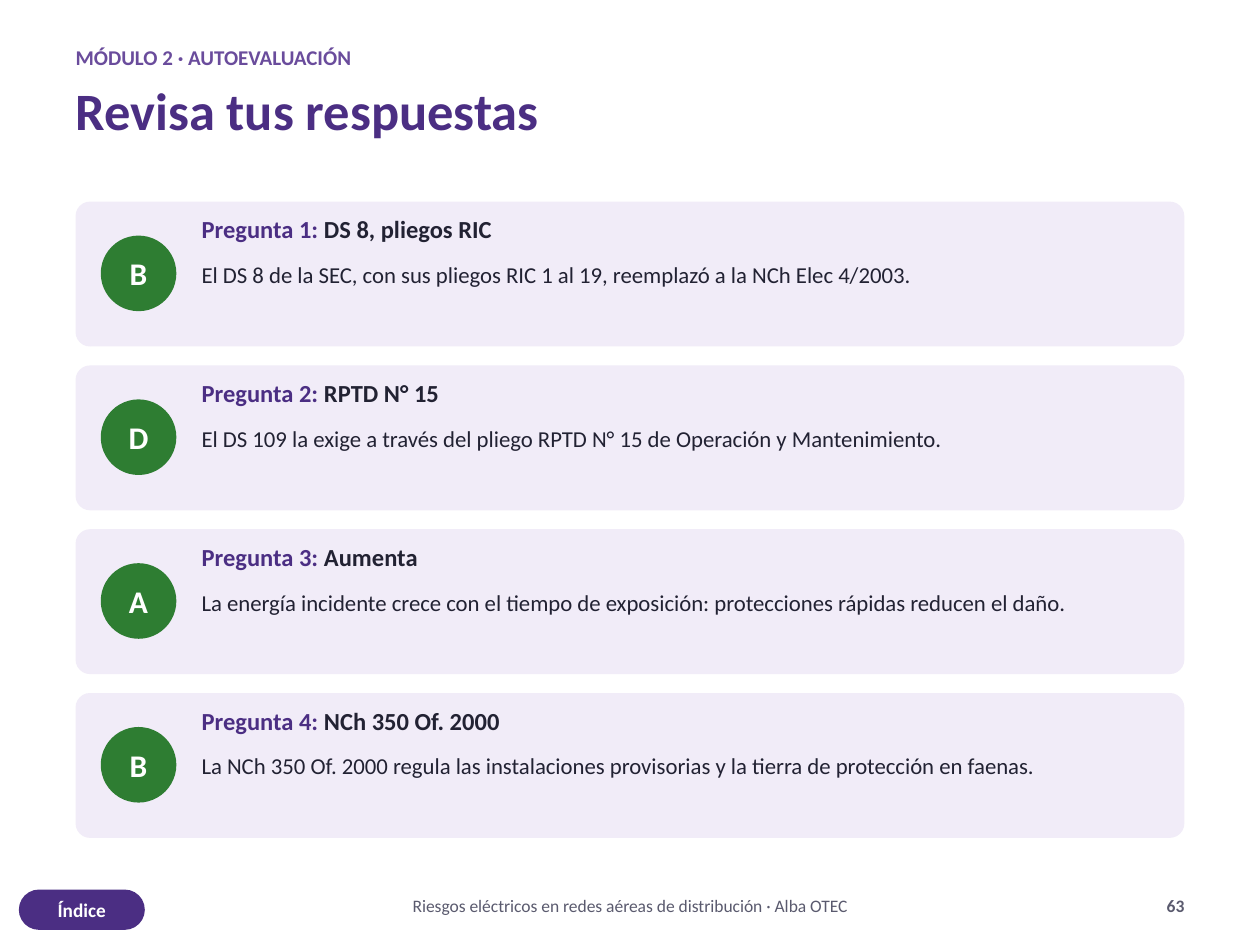
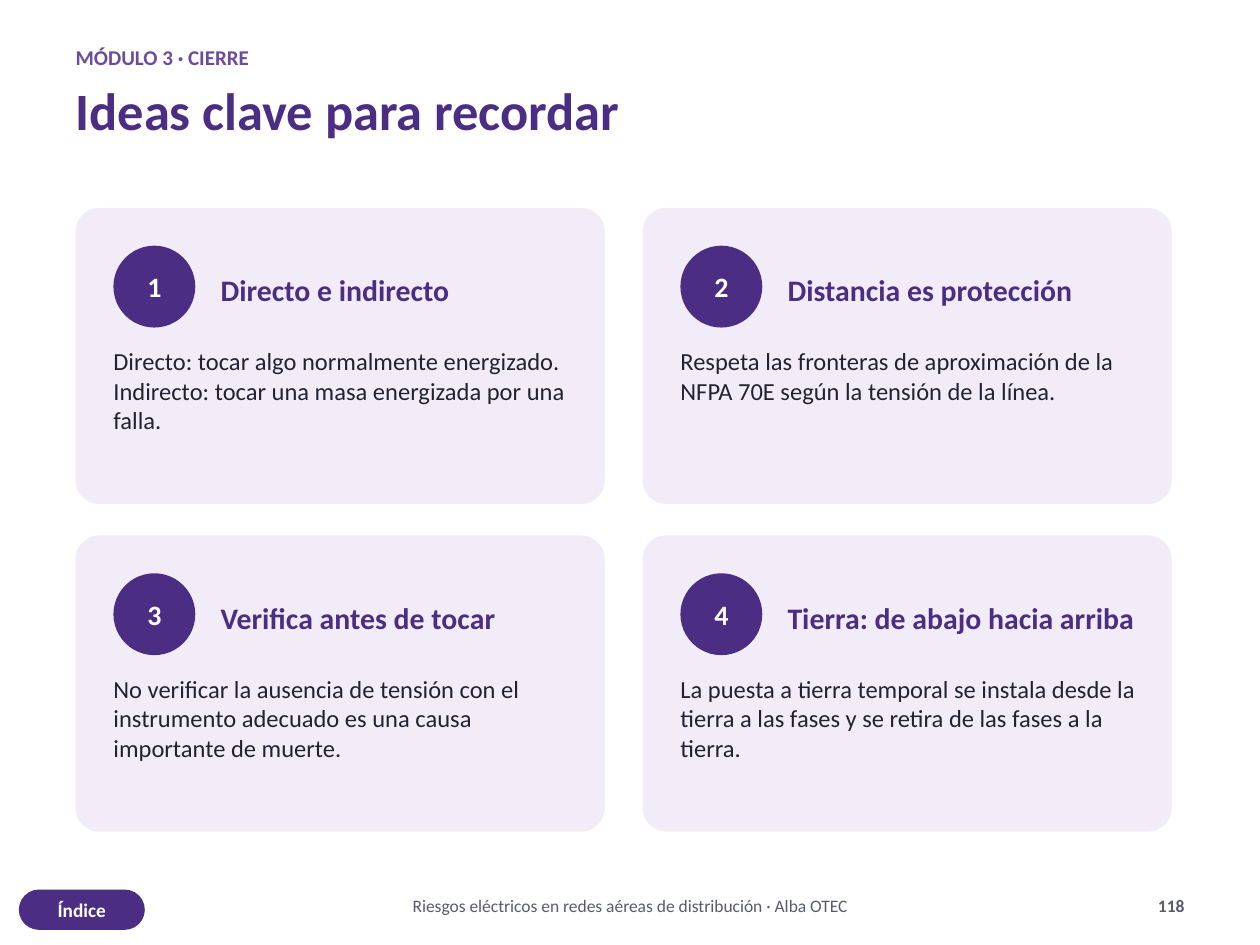
from pptx import Presentation
from pptx.dml.color import RGBColor
from pptx.enum.shapes import MSO_SHAPE
from pptx.enum.text import MSO_ANCHOR, MSO_AUTO_SIZE, PP_ALIGN
from pptx.util import Inches, Pt

# Shared style
FONT = "Calibri"
PURPLE, VIOLET, LILAC = "4B2E83", "6A4C9C", "F1ECF8"
GREEN, INK, GRAY, WHITE = "2E7D32", "222233", "5A5A6E", "FFFFFF"
LEFT, WIDTH = 0.6, 8.8
COURSE = "Riesgos eléctricos en redes aéreas de distribución · Alba OTEC"


def color(code):
    return RGBColor.from_string(code)


class Deck:
    def __init__(self):
        self.show = Presentation()
        self.show.slide_width = Inches(10)
        self.show.slide_height = Inches(7.5)
        self.slide = None

    def start(self, module, title, number):
        """Add a slide with its heading and footer."""
        self.slide = self.show.slides.add_slide(self.show.slide_layouts[6])
        fill = self.slide.background.fill
        fill.solid()
        fill.fore_color.rgb = color(WHITE)
        self.text(LEFT, 0.35, WIDTH, 0.3, module, 12, VIOLET, True)
        self.text(LEFT, 0.62, WIDTH, 0.75, title, 30, PURPLE, True)
        pill = self.shape(MSO_SHAPE.ROUNDED_RECTANGLE, 0.15, 7.06, 1, 0.32, PURPLE, 0.5)
        self.label(pill, "Índice", 11)
        self.text(2, 7.1, 6, 0.28, COURSE, 10, GRAY, align=PP_ALIGN.CENTER)
        self.text(8.4, 7.1, 1, 0.28, str(number), 10, GRAY, True, PP_ALIGN.RIGHT)

    def style(self, run, size, tint, bold):
        run.font.name = FONT
        run.font.size = Pt(size)
        run.font.bold = bold
        run.font.color.rgb = color(tint)

    def fit(self, frame, words, size, tint, bold, align, anchor):
        frame.margin_left = frame.margin_right = 0
        frame.margin_top = frame.margin_bottom = 0
        frame.word_wrap = True
        frame.vertical_anchor = anchor
        frame.text = words
        para = frame.paragraphs[0]
        para.alignment = align
        self.style(para.runs[0], size, tint, bold)
        return para

    def text(self, x, y, w, h, words, size, tint, bold=False,
             align=PP_ALIGN.LEFT, anchor=MSO_ANCHOR.TOP):
        box = self.slide.shapes.add_textbox(Inches(x), Inches(y), Inches(w), Inches(h))
        para = self.fit(box.text_frame, words, size, tint, bold, align, anchor)
        box.text_frame.auto_size = MSO_AUTO_SIZE.SHAPE_TO_FIT_TEXT
        return para

    def shape(self, kind, x, y, w, h, tint, bend=None):
        item = self.slide.shapes.add_shape(kind, Inches(x), Inches(y), Inches(w), Inches(h))
        item.shadow.inherit = False
        item.fill.solid()
        item.fill.fore_color.rgb = color(tint)
        item.line.fill.background()
        if bend is not None:
            item.adjustments[0] = bend
        return item

    def label(self, item, words, size):
        self.fit(item.text_frame, words, size, WHITE, True, PP_ALIGN.CENTER, MSO_ANCHOR.MIDDLE)

    def card(self, x, y, w, h, bend):
        self.shape(MSO_SHAPE.ROUNDED_RECTANGLE, x, y, w, h, LILAC, bend)

    def badge(self, x, y, side, words, size, tint):
        self.label(self.shape(MSO_SHAPE.OVAL, x, y, side, side, tint), words, size)

    def answer(self, y, number, letter, topic, reason):
        """Full-width card with the right option and its reason."""
        self.card(LEFT, y, WIDTH, 1.15, 0.1)
        self.badge(LEFT + 0.2, y + 0.27, 0.6, letter, 18, GREEN)
        para = self.text(LEFT + 1, y + 0.1, 7.6, 0.4, f"Pregunta {number}: ", 14, PURPLE, True)
        run = para.add_run()
        run.text = topic
        self.style(run, 14, INK, True)
        self.text(LEFT + 1, y + 0.47, 7.6, 0.65, reason, 13, INK)

    def idea(self, x, y, number, title, body):
        """Numbered card with a title and a short text."""
        self.card(x, y, 4.2, 2.35, 0.08)
        self.badge(x + 0.3, y + 0.3, 0.65, str(number), 16, PURPLE)
        self.text(x + 1.15, y + 0.3, 2.85, 0.7, title, 17, PURPLE, True, anchor=MSO_ANCHOR.MIDDLE)
        self.text(x + 0.3, y + 1.1, 3.65, 1.2, body, 14, INK)


ANSWERS = [
    ("B", "DS 8, pliegos RIC",
     "El DS 8 de la SEC, con sus pliegos RIC 1 al 19, reemplazó a la NCh Elec 4/2003."),
    ("D", "RPTD N° 15",
     "El DS 109 la exige a través del pliego RPTD N° 15 de Operación y Mantenimiento."),
    ("A", "Aumenta",
     "La energía incidente crece con el tiempo de exposición: "
     "protecciones rápidas reducen el daño."),
    ("B", "NCh 350 Of. 2000",
     "La NCh 350 Of. 2000 regula las instalaciones provisorias "
     "y la tierra de protección en faenas."),
]

IDEAS = [
    ("Directo e indirecto",
     "Directo: tocar algo normalmente energizado. "
     "Indirecto: tocar una masa energizada por una falla."),
    ("Distancia es protección",
     "Respeta las fronteras de aproximación de la NFPA 70E según la tensión de la línea."),
    ("Verifica antes de tocar",
     "No verificar la ausencia de tensión con el instrumento adecuado "
     "es una causa importante de muerte."),
    ("Tierra: de abajo hacia arriba",
     "La puesta a tierra temporal se instala desde la tierra a las fases "
     "y se retira de las fases a la tierra."),
]


def main():
    deck = Deck()

    # Answers, one row each
    deck.start("MÓDULO 2 · AUTOEVALUACIÓN", "Revisa tus respuestas", 63)
    for i, entry in enumerate(ANSWERS):
        deck.answer(1.6 + 1.3 * i, i + 1, *entry)

    # Key ideas, two by two
    deck.start("MÓDULO 3 · CIERRE", "Ideas clave para recordar", 118)
    for i, entry in enumerate(IDEAS):
        row, col = divmod(i, 2)
        deck.idea(LEFT + 4.5 * col, 1.65 + 2.6 * row, i + 1, *entry)

    deck.show.save("out.pptx")


if __name__ == "__main__":
    main()
